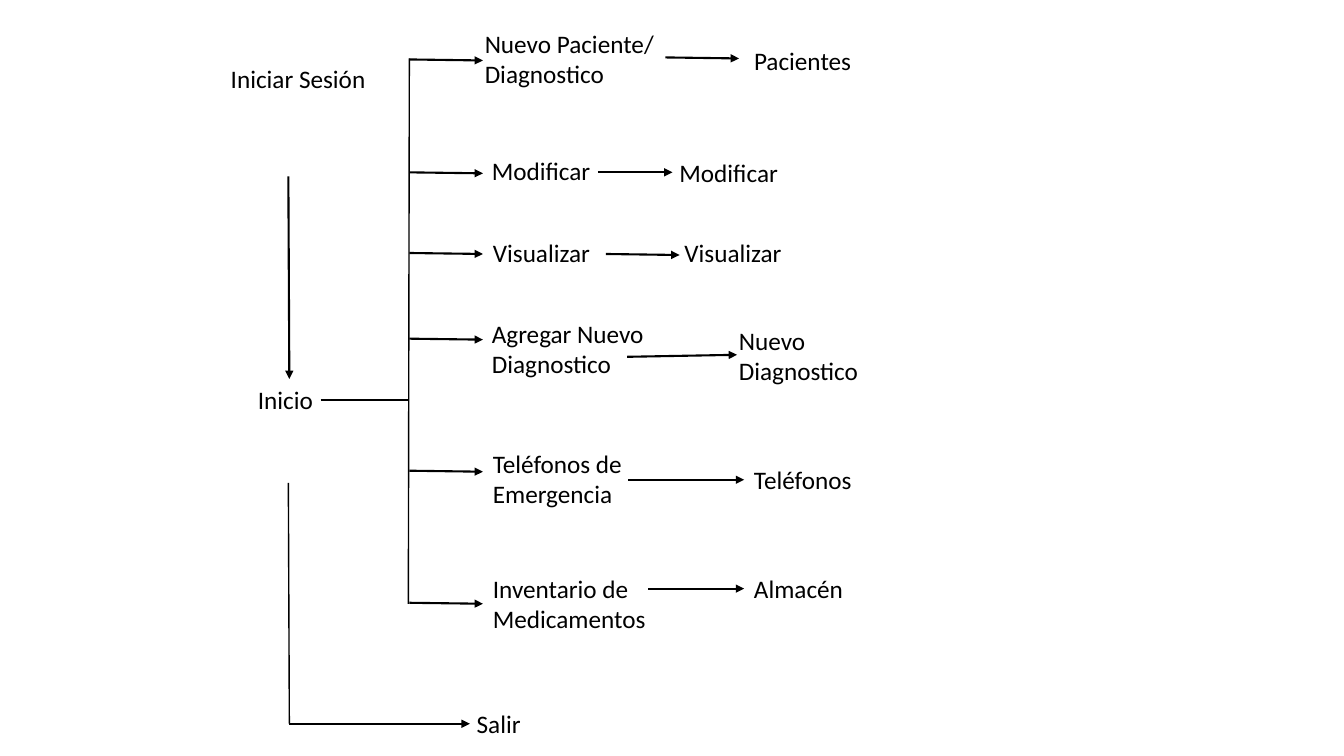
from collections import namedtuple

from lxml.etree import SubElement
from pptx import Presentation
from pptx.dml.color import RGBColor
from pptx.enum.shapes import MSO_CONNECTOR
from pptx.enum.text import MSO_AUTO_SIZE
from pptx.oxml.ns import qn
from pptx.util import Inches, Pt

WIDTH, HEIGHT = 13.33, 7.5
INK = "000000"
ONE_LINE, TWO_LINES = 0.4, 0.71

Box = namedtuple("Box", "left top width height")
# Branch: arrow height, then the option and its screen, with the link between.
# Heights are measured from the top of the menu, lengths from its trunk.
Branch = namedtuple("Branch", "stem option link screen")
Label = namedtuple("Label", "text left top width height")
Link = namedtuple("Link", "start end top drop")

BRANCHES = [
    Branch(0.01, Label("Nuevo Paciente/ Diagnostico", 0.66, -0.35, 2.26, TWO_LINES),
           Link(2.55, 3.28, -0.01, 0.01),
           Label("Pacientes", 3.33, -0.18, 1.61, ONE_LINE)),
    Branch(1.13, Label("Modificar", 0.73, 0.91, 1.37, ONE_LINE),
           Link(1.88, 2.62, 1.13, 0),
           Label("Modificar", 2.59, 0.93, 1.42, ONE_LINE)),
    Branch(1.93, Label("Visualizar", 0.74, 1.73, 1.37, ONE_LINE),
           Link(1.96, 2.69, 1.94, 0.01),
           Label("Visualizar", 2.64, 1.73, 1.37, ONE_LINE)),
    Branch(2.78, Label("Agregar Nuevo Diagnostico", 0.73, 2.53, 1.82, TWO_LINES),
           Link(2.17, 3.26, 2.96, -0.02),
           Label("Nuevo Diagnostico", 3.18, 2.6, 1.75, TWO_LINES)),
    Branch(4.09, Label("Teléfonos de Emergencia", 0.74, 3.82, 1.66, TWO_LINES),
           Link(2.18, 3.33, 4.18, 0),
           Label("Teléfonos", 3.33, 3.98, 1.37, ONE_LINE)),
    Branch(5.4, Label("Inventario de Medicamentos", 0.74, 5.06, 1.81, TWO_LINES),
           Link(2.38, 3.33, 5.26, 0),
           Label("Almacén", 3.33, 5.06, 1.37, ONE_LINE)),
]


def color(hex_code):
    return RGBColor.from_string(hex_code)


def add_label(slide, box, label):
    """Place a label at its offset inside the box."""
    area = slide.shapes.add_textbox(
        Inches(box.left + label.left), Inches(box.top + label.top),
        Inches(label.width), Inches(label.height))
    frame = area.text_frame
    frame.word_wrap = True
    frame.auto_size = MSO_AUTO_SIZE.SHAPE_TO_FIT_TEXT
    frame.text = label.text
    font = frame.paragraphs[0].runs[0].font
    font.name, font.size = "Calibri", Pt(18)
    font.color.rgb = color(INK)


def add_line(slide, box, start, end, weight=1.0, arrow=False):
    """Draw a line between two points given as offsets inside the box."""
    line = slide.shapes.add_connector(
        MSO_CONNECTOR.STRAIGHT,
        Inches(box.left + start[0]), Inches(box.top + start[1]),
        Inches(box.left + end[0]), Inches(box.top + end[1]))
    line.line.color.rgb = color(INK)
    line.line.width = Pt(weight)
    properties = line._element.spPr
    if arrow:
        SubElement(properties.find(qn("a:ln")), qn("a:tailEnd"), type="triangle")
    SubElement(properties, qn("a:effectLst"))


def add_arrow(slide, box, start, end):
    add_line(slide, box, start, end, weight=1.5, arrow=True)


def add_session(slide, box):
    """Login leads down to the start page, which joins the menu trunk."""
    add_label(slide, box, Label("Iniciar Sesión", 0, 0, 1.91, ONE_LINE))
    add_label(slide, box, Label("Inicio", 0.27, 3.18, 0.83, ONE_LINE))
    add_arrow(slide, box, (0.67, 1.17), (0.68, 3.18))
    add_line(slide, box, (0.99, 3.39), (box.width, 3.39))


def add_exit(slide, box):
    """A path runs down the left side and along the bottom to the exit."""
    add_line(slide, box, (0, 0), (0.01, box.height))
    add_arrow(slide, box, (0.01, box.height), (box.width, box.height))
    add_label(slide, box, Label("Salir", box.width - 0.03, box.height - 0.2, 0.83, ONE_LINE))


def add_menu(slide, box):
    """A trunk with one branch for each option and the screen it opens."""
    add_line(slide, box, (0.01, 0), (0, box.height))
    for stem, option, link, screen in BRANCHES:
        add_arrow(slide, box, (0.01, stem), (0.74, stem + 0.01))
        add_label(slide, box, option)
        add_arrow(slide, box, (link.start, link.top), (link.end, link.top + link.drop))
        add_label(slide, box, screen)


def main():
    deck = Presentation()
    deck.slide_width, deck.slide_height = Inches(WIDTH), Inches(HEIGHT)
    slide = deck.slides.add_slide(deck.slide_layouts[6])
    add_session(slide, Box(2.19, 0.58, 1.86, 3.58))
    add_exit(slide, Box(2.86, 4.79, 1.8, 2.39))
    add_menu(slide, Box(4.05, 0.58, 4.94, 5.41))
    deck.save("out.pptx")


if __name__ == "__main__":
    main()
